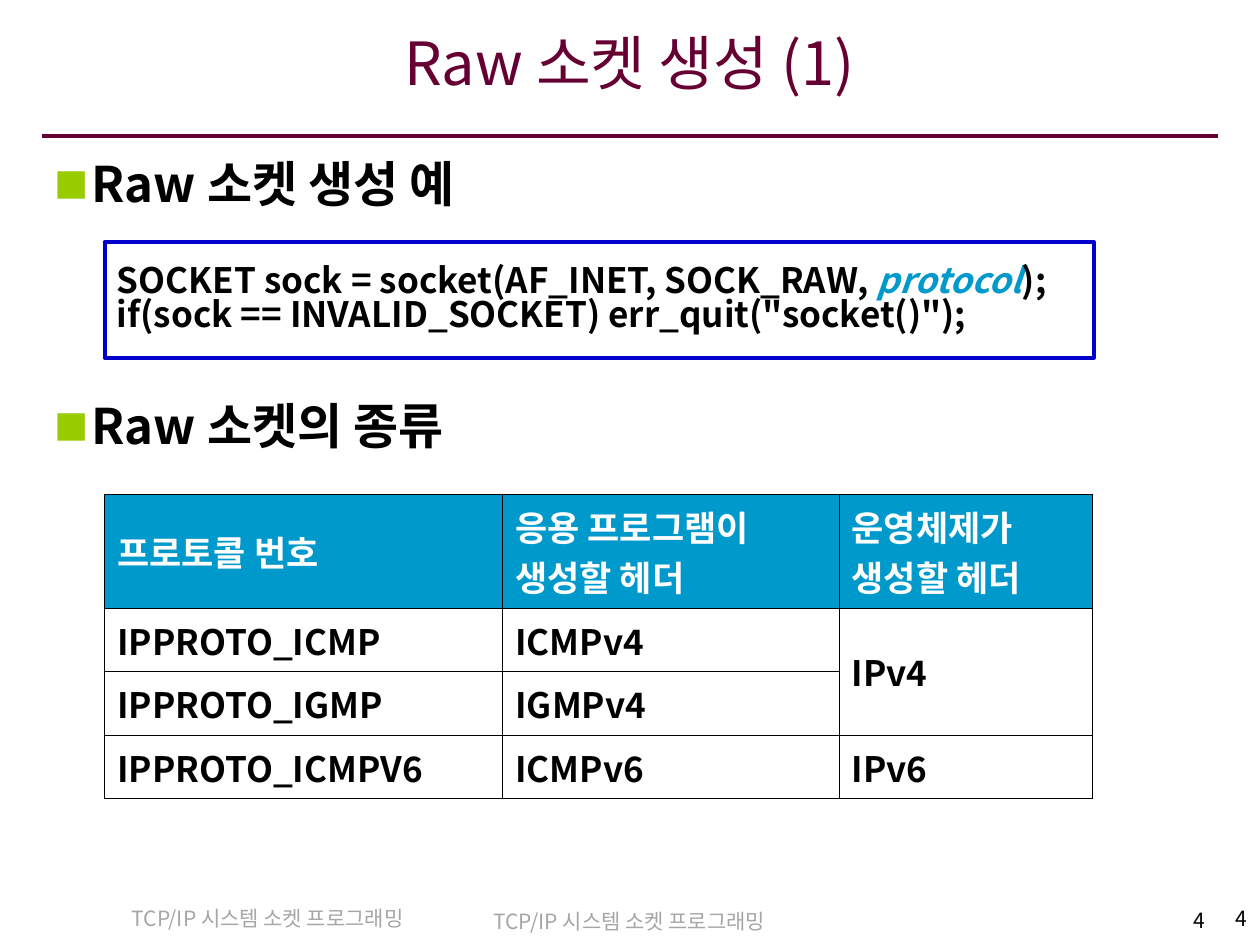
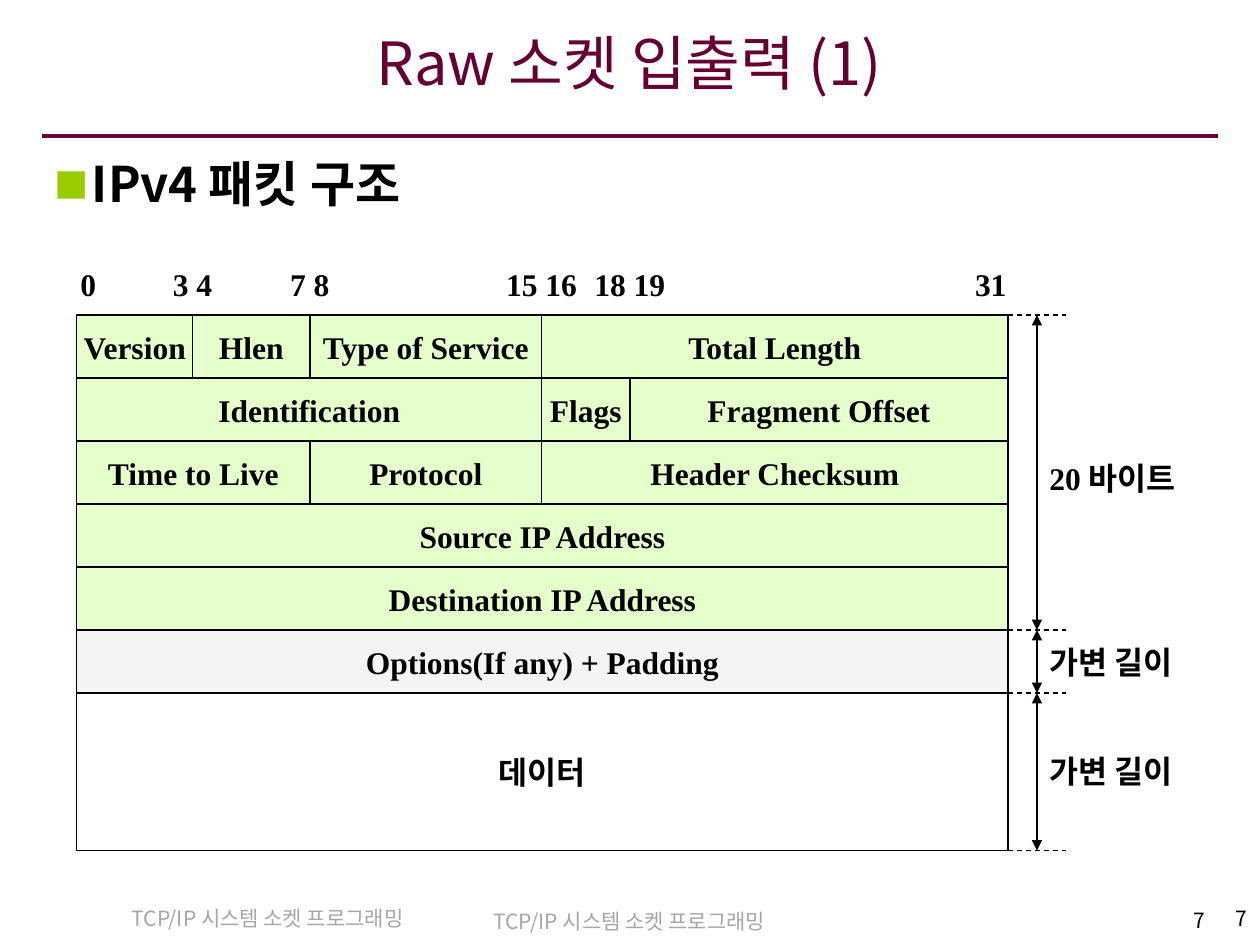
from lxml import etree
from pptx import Presentation
from pptx import util as u
from pptx.dml.color import RGBColor
from pptx.enum import dml, shapes, text
from pptx.oxml import ns

PX = 9144  # EMU per px, 100 px to the inch
SANS, SERIF = "Noto Sans CJK KR", "Times New Roman"
BLACK, WHITE, GREY = "000000", "FFFFFF", "A6A6A6"
WINE, LIME, SKY, BLUE = "660033", "99CC00", "0099CC", "0000CC"
FIXED, OPTIONAL = "CCFF99", "EAEAEA"
LEFT, CENTER, RIGHT = text.PP_ALIGN.LEFT, text.PP_ALIGN.CENTER, text.PP_ALIGN.RIGHT
TOP, MIDDLE = text.MSO_ANCHOR.TOP, text.MSO_ANCHOR.MIDDLE
FOOTER = "TCP/IP 시스템 소켓 프로그래밍"


def rgb(value):
    return RGBColor.from_string(value)


def sub(parent, tag, **attrs):
    el = etree.SubElement(parent, ns.qn(tag))
    for key, value in attrs.items():
        el.set(key, str(value))
    return el


class Deck:
    def __init__(self):
        self.prs = Presentation()
        self.prs.slide_width, self.prs.slide_height = 1000 * PX, 750 * PX
        self.s = None

    def slide(self, title, number):
        """Start a slide with the shared title, rule and footers."""
        self.s = self.prs.slides.add_slide(self.prs.slide_layouts[1])
        self.line(33, 108, 967, 108, WINE, 2.25)
        self.label(287, 716, 425, 30, FOOTER, 12, GREY, CENTER)
        self.label(754, 715, 212, 33, number, 12, BLACK, RIGHT)
        self.label(0, 714, 425, 28, FOOTER, 12, GREY, CENTER)
        self.label(792, 714, 208, 27, number, 12, BLACK, RIGHT)
        sp = self.s.shapes.title
        self.place(sp, 33, 15, 933, 85)
        self.fill_text(sp.text_frame, [title], 34, WINE, align=CENTER, bold=False,
                       insets=(8, 5, 8, 16), wrap=True, spacing=0.95)

    def place(self, sp, x, y, w, h):
        sp.left, sp.top, sp.width, sp.height = (v * PX for v in (x, y, w, h))

    def fill_text(self, tf, lines, size, color=BLACK, font=SANS, align=LEFT, bold=True,
                  anchor=MIDDLE, insets=(10, 5, 10, 5), wrap=False, spacing=None):
        """Fill a text frame; parts between bars are accented."""
        tf.auto_size = text.MSO_AUTO_SIZE.NONE
        tf.word_wrap, tf.vertical_anchor = wrap, anchor
        tf.margin_left, tf.margin_top, tf.margin_right, tf.margin_bottom = (
            v * PX for v in insets)
        for i, line in enumerate(lines):
            p = tf.add_paragraph() if i else tf.paragraphs[0]
            p.alignment = align
            if spacing:
                p.line_spacing = spacing
            self.font(p, size, color, font, bold)
            for j, part in enumerate(line.split("|")):
                r = p.add_run()
                r.text = part
                if j % 2:
                    r.font.italic = True
                    r.font.color.rgb = rgb(SKY)

    def font(self, p, size, color, font, bold):
        p.font.size, p.font.bold, p.font.name = u.Pt(size), bold, font
        p.font.color.rgb = rgb(color)
        sub(p._p.pPr.find(ns.qn("a:defRPr")), "a:ea", typeface=SANS)

    def bullets(self, lines, gap=0):
        sp = self.s.placeholders[1]
        self.place(sp, 33, 122, 933, 586)
        self.fill_text(sp.text_frame, lines, 28, anchor=TOP, wrap=True, spacing=0.9)
        for i, p in enumerate(sp.text_frame.paragraphs):
            pPr = p._p.pPr
            pPr.set("marL", str(30 * PX))
            pPr.set("indent", str(-30 * PX))
            bullet = etree.Element("bullets")
            sub(sub(bullet, "a:buClr"), "a:srgbClr", val=LIME)
            sub(bullet, "a:buSzPct", val=70000)
            sub(bullet, "a:buFont", typeface=SANS)
            sub(bullet, "a:buChar", char="■")
            for el in list(bullet):
                pPr.find(ns.qn("a:defRPr")).addprevious(el)
            p.space_before = u.Pt(gap if i else 0)

    def label(self, x, y, w, h, words, size, color=BLACK, align=LEFT, font=SANS,
              bold=False, anchor=TOP, **style):
        sp = self.s.shapes.add_textbox(x * PX, y * PX, w * PX, h * PX)
        self.fill_text(sp.text_frame, [words], size, color, font, align, bold, anchor, **style)
        return sp

    def box(self, x, y, w, h, lines, size, fill=None, line=BLACK, weight=0.75, **style):
        sp = self.s.shapes.add_shape(shapes.MSO_SHAPE.RECTANGLE,
                                     x * PX, y * PX, w * PX, h * PX)
        sp.shadow.inherit = False
        if fill:
            sp.fill.solid()
            sp.fill.fore_color.rgb = rgb(fill)
            clr = sp._element.spPr.find(".//" + ns.qn("a:srgbClr"))
            sub(clr, "a:alpha", val=50000)
        else:
            sp.fill.background()
        sp.line.color.rgb, sp.line.width = rgb(line), u.Pt(weight)
        self.fill_text(sp.text_frame, lines, size, **style)

    def line(self, x1, y1, x2, y2, color=BLACK, weight=0.75, dash=False, arrows=False):
        sp = self.s.shapes.add_connector(shapes.MSO_CONNECTOR.STRAIGHT,
                                         x1 * PX, y1 * PX, x2 * PX, y2 * PX)
        sp.line.color.rgb, sp.line.width = rgb(color), u.Pt(weight)
        spPr = sp._element.spPr
        if dash:
            sp.line.dash_style = dml.MSO_LINE.DASH
        if arrows:
            for end in ("a:headEnd", "a:tailEnd"):
                sub(spPr.find(ns.qn("a:ln")), end, type="triangle")
        sub(spPr, "a:effectLst")

    def table(self, x, y, widths, heights, rows, merges):
        tbl = self.s.shapes.add_table(len(heights), len(widths), x * PX, y * PX,
                                      sum(widths) * PX, sum(heights) * PX).table
        tbl.first_row = tbl.horz_banding = False
        for col, w in zip(tbl.columns, widths):
            col.width = w * PX
        for row, h in zip(tbl.rows, heights):
            row.height = h * PX
        for i, row in enumerate(rows):
            for j, words in enumerate(row):
                self.cell(tbl.cell(i, j), words, header=i == 0)
        for first, last in merges:
            tbl.cell(*first).merge(tbl.cell(*last))

    def cell(self, cell, words, header):
        cell.vertical_anchor = MIDDLE
        cell.margin_left = cell.margin_right = 10 * PX
        cell.margin_top = cell.margin_bottom = 5 * PX
        if header:
            cell.fill.solid()
            cell.fill.fore_color.rgb = rgb(SKY)
        else:
            cell.fill.background()
        if words:
            cell.text_frame.text = words
        for p in cell.text_frame.paragraphs:
            self.font(p, 20, WHITE if header else BLACK, SANS, True)
        tcPr = cell._tc.get_or_add_tcPr()
        for i, side in enumerate(("a:lnL", "a:lnR", "a:lnT", "a:lnB")):
            ln = sub(tcPr, side, w=u.Pt(0.45))
            sub(sub(ln, "a:solidFill"), "a:srgbClr", val=BLACK)
            tcPr.insert(i, ln)


def socket_creation(deck):
    deck.slide("Raw 소켓 생성 (1)", "4")
    deck.bullets(["Raw 소켓 생성 예", "Raw 소켓의 종류"], gap=108)
    deck.box(83, 192, 785, 92,
             ["SOCKET sock = socket(AF_INET, SOCK_RAW, |protocol|);",
              'if(sock == INVALID_SOCKET) err_quit("socket()");'],
             20, line=BLUE, weight=2.25, spacing=0.82)
    deck.table(83, 392, [316, 267, 201], [77, 44, 44, 44],
               [["프로토콜 번호", "응용 프로그램이\n생성할 헤더", "운영체제가\n생성할 헤더"],
                ["IPPROTO_ICMP", "ICMPv4", "IPv4"],
                ["IPPROTO_IGMP", "IGMPv4", ""],
                ["IPPROTO_ICMPV6", "ICMPv6", "IPv6"]],
               merges=[((1, 2), (2, 2))])


def packet_layout(deck):
    deck.slide("Raw 소켓 입출력 (1)", "7")
    deck.bullets(["IPv4 패킷 구조"])
    left, width, top, row_h = 61, 739, 250, 50
    serif = dict(font=SERIF, bold=True)

    def bit_x(bit):
        return round(left + width * bit / 32)

    # Header fields, each with its length in bits
    rows = [
        [("Version", 4), ("Hlen", 4), ("Type of Service", 8), ("Total Length", 16)],
        [("Identification", 16), ("Flags", 3), ("Fragment Offset", 13)],
        [("Time to Live", 8), ("Protocol", 8), ("Header Checksum", 16)],
        [("Source IP Address", 32)],
        [("Destination IP Address", 32)],
        [("Options(If any) + Padding", 32)],
        [("데이터", 32)],
    ]
    fills = [FIXED] * 5 + [OPTIONAL, None]
    for i, (row, fill) in enumerate(zip(rows, fills)):
        bit = 0
        for name, bits in row:
            x, h = bit_x(bit), row_h if fill else 125
            deck.box(x, top + i * row_h, bit_x(bit + bits) - x, h, [name], 18,
                     fill, align=CENTER, **serif)
            bit += bits

    # Bit ruler, centred on the field borders
    sp = deck.label(54, 200, 746, 50, "0\t3 4\t7 8\t15 16\t18 19\t31", 18,
                    anchor=MIDDLE, insets=(10, 5, 0, 5), wrap=True, **serif)
    pPr = sp.text_frame.paragraphs[0]._p.pPr
    tabs = etree.Element(ns.qn("a:tabLst"))
    for bit in (4, 8, 16, 19):
        sub(tabs, "a:tab", pos=(bit_x(bit) - 64) * PX, algn="ctr")
    sub(tabs, "a:tab", pos=735 * PX, algn="r")
    pPr.find(ns.qn("a:defRPr")).addprevious(tabs)

    # Lengths at the right
    right, axis, end = 800, 823, 846
    y = top
    deck.line(right, y, end, y, dash=True)
    for bottom, words, label_y in ((500, "20 바이트", 363), (550, "가변 길이", 509),
                                   (675, "가변 길이", 595)):
        deck.line(axis, y, axis, bottom, weight=1.5, arrows=True)
        deck.line(right, bottom, end, bottom, dash=True)
        deck.label(axis, label_y, 123, 33, words, 18, anchor=MIDDLE, **serif)
        y = bottom


def main():
    deck = Deck()
    socket_creation(deck)
    packet_layout(deck)
    deck.prs.save("out.pptx")


if __name__ == "__main__":
    main()
